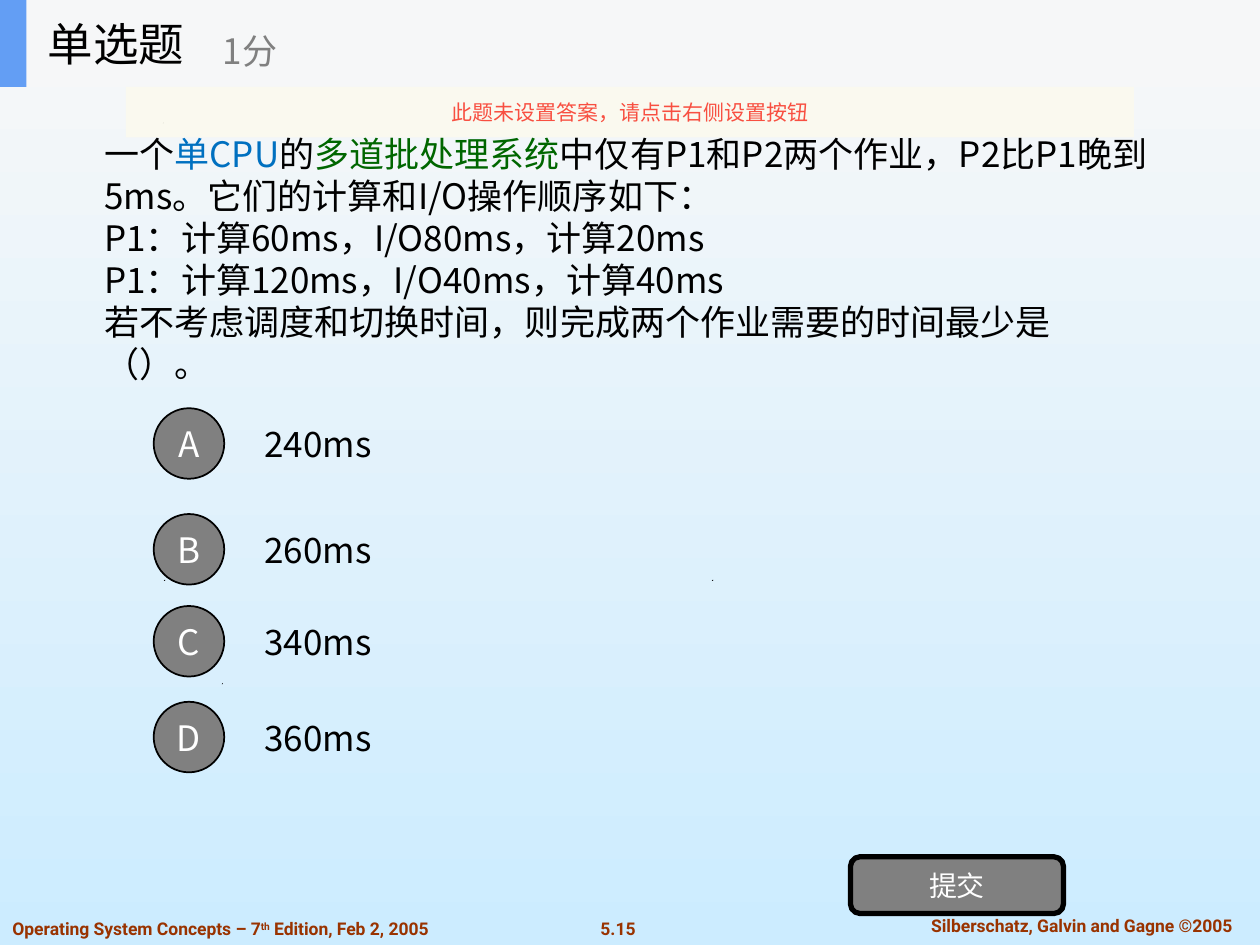
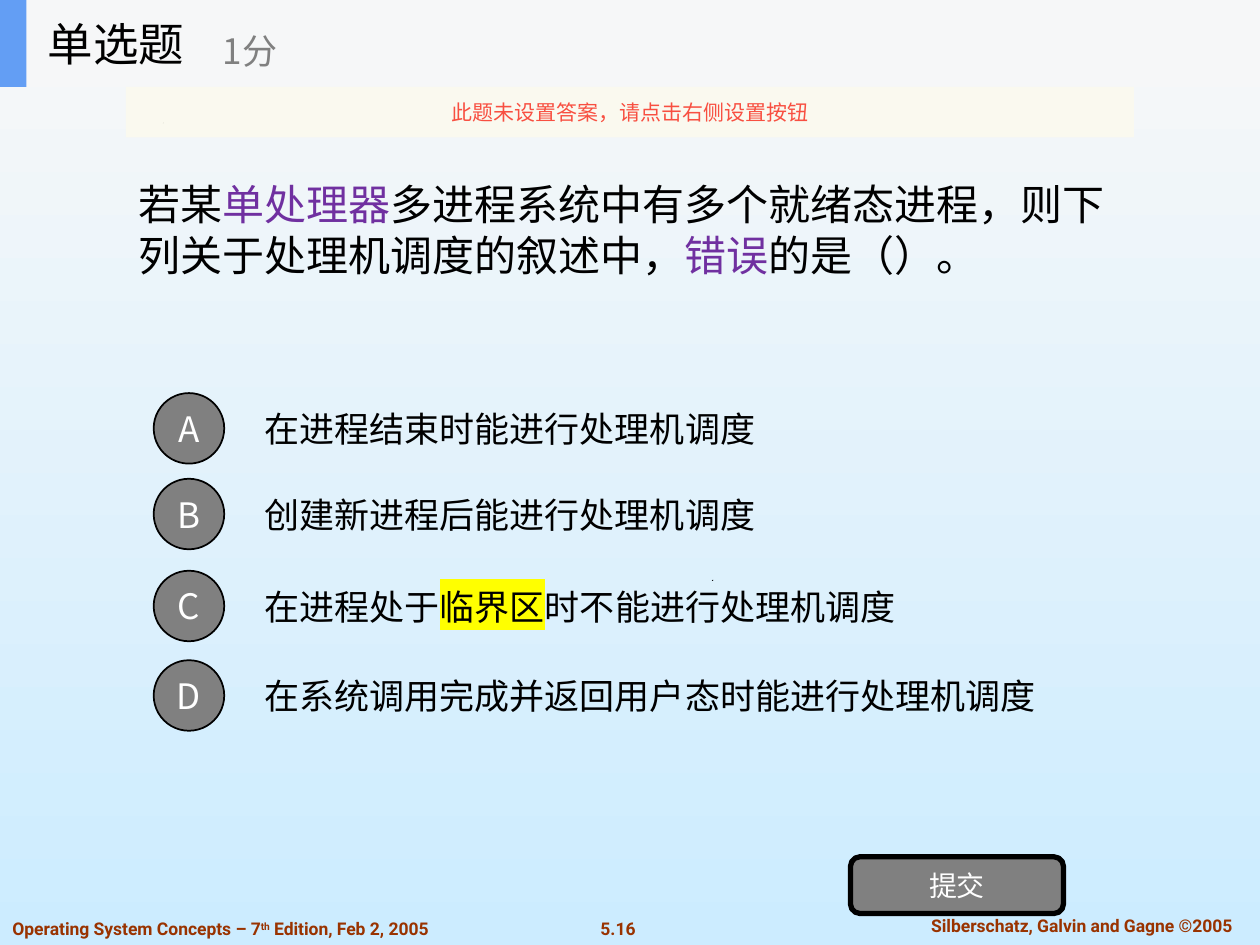
from lxml import etree
from pptx import Presentation
from pptx.dml.color import RGBColor
from pptx.enum import shapes, text
from pptx.oxml.ns import qn
from pptx.util import Inches, Pt

CJK, LATIN = "Noto Sans CJK SC", "Roboto"
BLACK, WHITE, GREY, RUST = "000000", "FFFFFF", "808080", "993300"
BLUE, GREEN, PURPLE, YELLOW = "0070C0", "006600", "7030A0", "FFFF00"
KIND = shapes.MSO_SHAPE
MID, TOP = text.MSO_ANCHOR.MIDDLE, text.MSO_ANCHOR.TOP
LEFT, CENTER = text.PP_ALIGN.LEFT, text.PP_ALIGN.CENTER
SPECKS = [(1.76, 5.42), (1.3, 4.6), (5.65, 4.6), (1.29, 0.97)]


def color(code):
    """Turn a hex string into a colour."""
    return RGBColor.from_string(code)


def style(run, size, tint, font=CJK, bold=False, mark=None):
    """Format one run, with an optional highlight."""
    run.font.size, run.font.name = Pt(size), font
    run.font.bold = bold
    run.font.color.rgb = color(tint)
    props = run.font._element
    if font == CJK:
        props.set("lang", "zh-CN")
    latin = props.find(qn("a:latin"))
    east = etree.Element(qn("a:ea"), typeface=font)
    latin.addnext(east)
    if mark:
        light = etree.Element(qn("a:highlight"))
        etree.SubElement(light, qn("a:srgbClr"), val=mark)
        latin.addprevious(light)


def write(shape, paras, size, tint=BLACK, align=LEFT, anchor=MID, wrap=True, **look):
    """Fill a shape with paragraphs of strings or (string, colour, highlight) runs."""
    frame = shape.text_frame
    frame.word_wrap, frame.vertical_anchor = wrap, anchor
    for i, parts in enumerate(paras):
        para = frame.add_paragraph() if i else frame.paragraphs[0]
        para.alignment = align
        para._p.get_or_add_pPr().set("hangingPunct", "0")
        for part in [parts] if isinstance(parts, str) else parts:
            words, hue, mark = (part, tint, None) if isinstance(part, str) else part
            run = para.add_run()
            run.text = words
            style(run, size, hue, mark=mark, **look)
    return frame


def label(parent, box, paras, size, **look):
    """Add a text box."""
    shape = parent.add_textbox(*map(Inches, box))
    return write(shape, paras, size, **look)


def block(parent, kind, box, fill, line=0):
    """Add a flat filled shape with an optional black outline."""
    shape = parent.add_shape(kind, *map(Inches, box))
    shape.shadow.inherit = False
    shape.fill.solid()
    shape.fill.fore_color.rgb = color(fill)
    if line:
        shape.line.color.rgb = color(BLACK)
        shape.line.width = Pt(line)
    else:
        shape.line.fill.background()
    return shape


def backdrop(slide):
    """Paint the gradient and its tiny specks."""
    fill = slide.background.fill
    fill.gradient()
    fill.gradient_angle = 270
    for stop, code in zip(fill.gradient_stops, ("F8F8F8", "CCECFF")):
        stop.color.rgb = color(code)
    for x, y in SPECKS:
        low, right = Inches(y + 0.01), Inches(x + 0.01)
        pen = slide.shapes.build_freeform(Inches(x), low)
        pen.add_line_segments([(right, Inches(y)), (right, low)], close=True)
        speck = pen.convert_to_shape()
        speck.shadow.inherit = False
        speck.fill.solid()
        speck.fill.fore_color.rgb = color(BLACK)
        speck.line.fill.background()


def footer(slide, number):
    """Add the book title, page number and copyright line."""
    look = dict(tint=RUST, font=LATIN, bold=True, anchor=TOP)
    parent = slide.shapes
    label(parent, (4.64, 7.24, 0.53, 0.27), [number], 10, align=CENTER, wrap=False, **look)
    label(parent, (7.1, 7.21, 2.97, 0.27), ["Silberschatz, Galvin and Gagne ©2005"], 10,
          align=CENTER, **look)
    book = ["Operating System Concepts – 7", "th", " Edition, Feb 2, 2005"]
    frame = label(parent, (0, 7.24, 4.11, 0.27), [book], 10, **look)
    frame.paragraphs[0].runs[1].font._element.set("baseline", "30000")


def choices(slide, tops, width, answers):
    """Add lettered circles with their answers."""
    for top, answer in zip(tops, answers):
        label(slide.shapes, (2, top - 0.07, width, 0.7), [answer], 20)
    for letter, top in zip("ABCD", tops):
        disc = block(slide.shapes, KIND.OVAL, (1.22, top, 0.56, 0.56), GREY, 1)
        write(disc, [letter], 20, WHITE, CENTER, wrap=False)


def header(slide):
    """Add the title band and the notice beneath it."""
    band = slide.shapes.add_group_shape().shapes
    block(band, KIND.RECTANGLE, (0, 0, 10, 0.69), "F6F7F8")
    block(band, KIND.RECTANGLE, (0, 0, 0.21, 0.69), "639EF4")
    label(band, (0.28, 0, 2.08, 0.69), ["单选题"], 26)
    label(band, (1.67, 0.12, 2.5, 0.56), ["1分"], 20, tint=GREY)
    note = block(slide.shapes, KIND.RECTANGLE, (1, 0.69, 8, 0.4), "FBFAEF")
    tone = note.fill._xPr.find(".//" + qn("a:srgbClr"))
    etree.SubElement(tone, qn("a:alpha"), val="90000")
    write(note, ["此题未设置答案，请点击右侧设置按钮"], 12, "F84F41", CENTER)


def quiz(deck, number, box, size, question, tops, width, answers):
    """Build one single-choice slide."""
    slide = deck.slides.add_slide(deck.slide_layouts[6])
    backdrop(slide)
    footer(slide, number)
    label(slide.shapes, box, question, size)
    choices(slide, tops, width, answers)
    send = block(slide.shapes, KIND.ROUNDED_RECTANGLE, (6.75, 6.8, 1.69, 0.45), GREY, 3)
    write(send, ["提交"], 16, WHITE, CENTER)
    header(slide)


def main():
    """Build and save the deck."""
    deck = Presentation()
    deck.slide_width, deck.slide_height = Inches(10), Inches(7.5)
    quiz(deck, "5.15", (0.73, 0.88, 8.53, 2.34), 20, [
        ["一个", ("单CPU", BLUE, None), "的", ("多道批处理系统", GREEN, None),
         "中仅有P1和P2两个作业，P2比P1晚到5ms。它们的计算和I/O操作顺序如下："],
        "P1：计算60ms，I/O80ms，计算20ms",
        "P1：计算120ms，I/O40ms，计算40ms",
        "若不考虑调度和切换时间，则完成两个作业需要的时间最少是（）。",
    ], (3.24, 4.08, 4.81, 5.57), 1.76, ["240ms", "260ms", "340ms", "360ms"])
    quiz(deck, "5.16", (1, 0.94, 8, 1.76), 24, [
        ["若某", ("单处理器", PURPLE, None),
         "多进程系统中有多个就绪态进程，则下列关于处理机调度的叙述中，",
         ("错误", PURPLE, None), "的是（）。"],
    ], (3.12, 3.8, 4.53, 5.24), 7, [
        "在进程结束时能进行处理机调度",
        "创建新进程后能进行处理机调度",
        ["在进程处于", ("临界区", BLACK, YELLOW), "时不能进行处理机调度"],
        "在系统调用完成并返回用户态时能进行处理机调度",
    ])
    deck.save("out.pptx")


if __name__ == "__main__":
    main()
